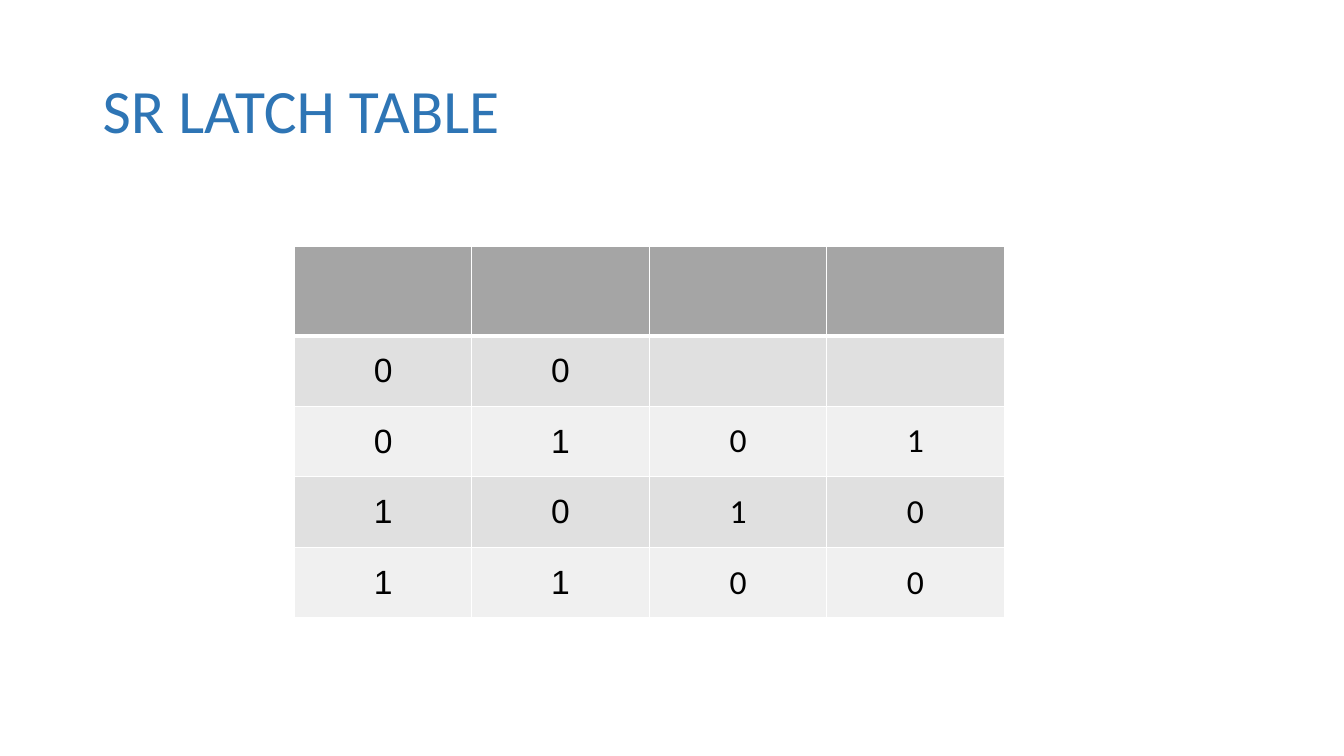
"""Build the SR latch truth table slide."""
from lxml import etree
from pptx import Presentation
from pptx.dml.color import RGBColor
from pptx.enum.text import MSO_ANCHOR, PP_ALIGN
from pptx.oxml.ns import qn
from pptx.util import Inches, Pt

MIDDLE = MSO_ANCHOR.MIDDLE
LEFT = PP_ALIGN.LEFT
CENTER = PP_ALIGN.CENTER

HEADER_FILL = "A5A5A5"
BAND_FILLS = ("E0E0E0", "F0F0F0")
BORDER_COLOR = "FFFFFF"
COLUMN_WIDTH = 1.76
HEADER_HEIGHT = 0.89
ROW_HEIGHT = 0.7
LATCH_ROWS = (
    ("", "", "", ""),
    ("0", "0", "", ""),
    ("0", "1", "0", "1"),
    ("1", "0", "1", "0"),
    ("1", "1", "0", "0"),
)


def color(value):
    """Return the RGB colour for a hex string."""
    return RGBColor.from_string(value)


def write_text(text_frame, text, size=24, font="Calibri", hex_color="000000",
               align=CENTER, line_spacing=1.0):
    """Write one formatted paragraph into a text frame."""
    paragraph = text_frame.paragraphs[0]
    paragraph.alignment = align
    paragraph.line_spacing = line_spacing
    run = paragraph.add_run()
    run.text = text
    run.font.size = Pt(size)
    run.font.name = font
    run.font.color.rgb = color(hex_color)


def add_title(slide, text):
    """Add the slide title."""
    shape = slide.shapes.add_textbox(Inches(0.92), Inches(0.4), Inches(11.5), Inches(1.45))
    shape.text_frame.word_wrap = True
    shape.text_frame.vertical_anchor = MIDDLE
    write_text(shape.text_frame, text, size=44, hex_color="2E75B5", align=LEFT,
               line_spacing=0.9)


def set_borders(cell, top=1, bottom=1):
    """Draw solid borders around a cell, with widths in points."""
    properties = cell._tc.get_or_add_tcPr()
    widths = {"a:lnL": 1, "a:lnR": 1, "a:lnT": top, "a:lnB": bottom}
    for tag, width in widths.items():
        line = etree.SubElement(properties, qn(tag), w=str(Pt(width)))
        fill = etree.SubElement(line, qn("a:solidFill"))
        etree.SubElement(fill, qn("a:srgbClr"), val=BORDER_COLOR)


def add_latch_table(slide, rows):
    """Add the truth table with a header row and alternating bands."""
    column_count = len(rows[0])
    height = HEADER_HEIGHT + ROW_HEIGHT * (len(rows) - 1)
    table = slide.shapes.add_table(
        len(rows), column_count, Inches(2.92), Inches(2.44),
        Inches(COLUMN_WIDTH * column_count), Inches(height)).table
    for column in table.columns:
        column.width = Inches(COLUMN_WIDTH)
    for row_index, values in enumerate(rows):
        is_header = row_index == 0
        table.rows[row_index].height = Inches(HEADER_HEIGHT if is_header else ROW_HEIGHT)
        for column_index, value in enumerate(values):
            cell = table.cell(row_index, column_index)
            cell.vertical_anchor = MIDDLE
            set_borders(cell, top=3 if row_index == 1 else 1, bottom=3 if is_header else 1)
            cell.fill.solid()
            band_fill = BAND_FILLS[(row_index - 1) % 2]
            cell.fill.fore_color.rgb = color(HEADER_FILL if is_header else band_fill)
            if value:
                write_text(cell.text_frame, value,
                           font="Arial" if column_index < 2 else "Calibri")


def main():
    """Create the presentation and save it."""
    presentation = Presentation()
    presentation.slide_width = Inches(13.33)
    presentation.slide_height = Inches(7.5)
    slide = presentation.slides.add_slide(presentation.slide_layouts[6])
    add_title(slide, "SR LATCH TABLE")
    add_latch_table(slide, LATCH_ROWS)
    presentation.save("out.pptx")


if __name__ == "__main__":
    main()
